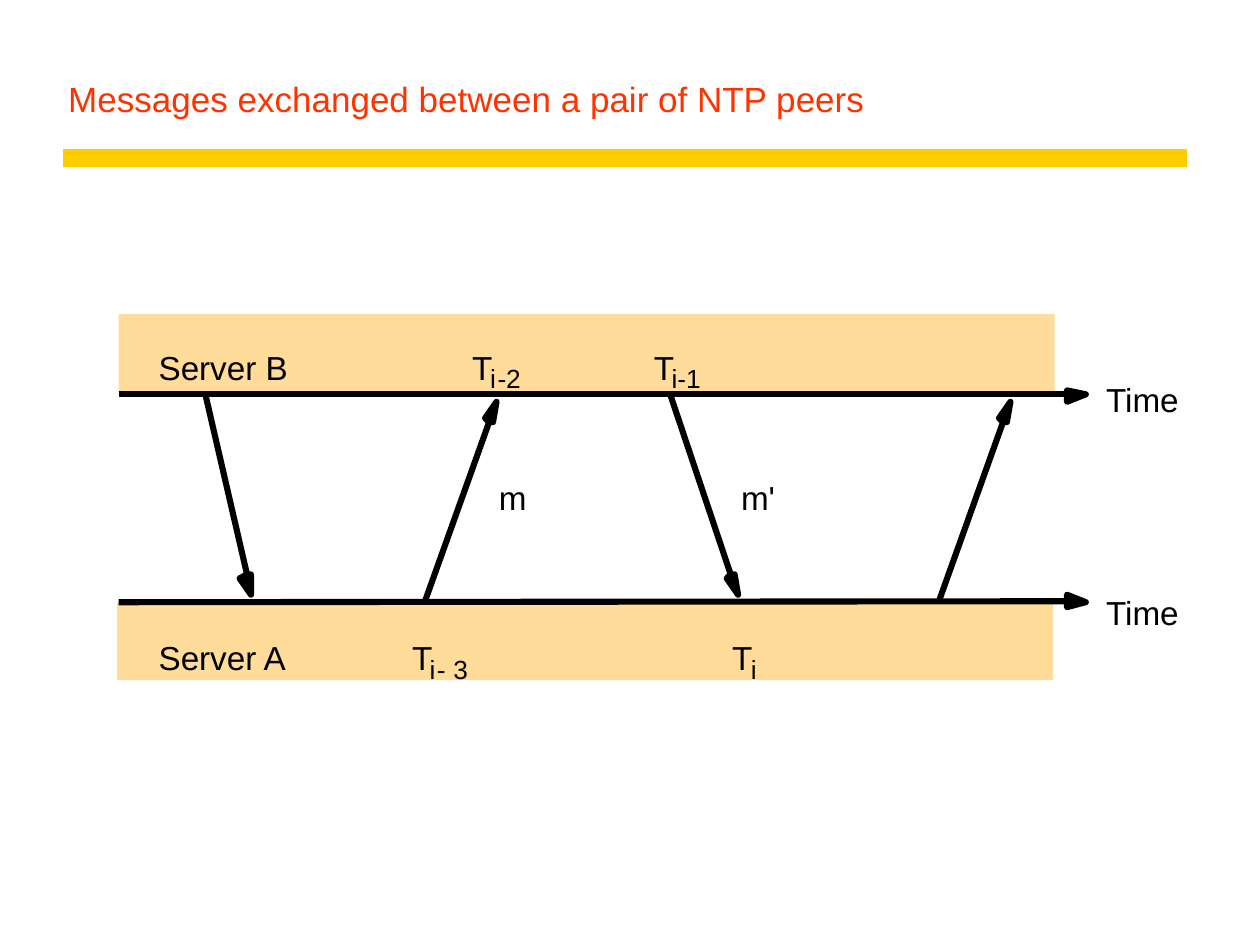
from dataclasses import dataclass
from pptx import Presentation
from pptx.dml.color import RGBColor as RGB
from pptx.enum.shapes import MSO_CONNECTOR as CONN, MSO_SHAPE as SHAPE
from pptx.enum.text import MSO_ANCHOR as ANCHOR, MSO_AUTO_SIZE as FIT, PP_ALIGN as ALIGN
from pptx.oxml.ns import qn
from pptx.util import Cm, Pt
from lxml.etree import SubElement


@dataclass(frozen=True)
class Theme:
    font: str = "Arial"
    ink: RGB = RGB(0, 0, 0)
    title: RGB = RGB(0xFF, 0x33, 0x00)
    rule: RGB = RGB(0xFF, 0xCC, 0x00)
    band: RGB = RGB(0xFF, 0xDC, 0x99)
    title_size: float = 20
    label_size: float = 19
    sub_size: float = 15
    stroke: float = 3.5
    rule_stroke: float = 10


THEME = Theme()

UP = [(0, 0), (-0.08, -0.08), (0.15, -0.41), (0.08, 0)]
DOWN = [(0, 0), (0.08, 0), (0.15, 0.41), (-0.08, 0.08)]
DOWN_STEEP = [(0, 0), (0.08, 0), (0.08, 0.41), (-0.15, 0.08)]
RIGHT_B = [(0, 0), (0, -0.08), (0.38, 0), (0, 0.15)]
RIGHT_A = [(-0.05, 0.02), (-0.05, -0.13), (0.33, 0.02), (-0.05, 0.12)]

B_AXIS, A_AXIS = 7.95, 12.14
UP_END, DOWN_END = 8.51, 11.58
MESSAGES = [
    (18.92, A_AXIS, 20.22, UP_END, UP),
    (13.51, B_AXIS, 14.73, DOWN_END, DOWN),
    (8.56, A_AXIS, 9.86, UP_END, UP),
    (4.14, B_AXIS, 4.98, DOWN_END, DOWN_STEEP),
]
BANDS = [(2.36, A_AXIS), (2.39, 6.33)]
TIME_AXES = [
    (2.39, B_AXIS, 21.51, B_AXIS, RIGHT_B),
    (2.39, A_AXIS, 21.56, 12.12, RIGHT_A),
]

B_ROW, A_ROW, M_ROW = 7, 12.85, 9.63
SUB_DROP = 0.31
TIMESTAMPS = [
    (14.76, A_ROW, [("i", 15.14, 0.15)]),
    (13.18, B_ROW, [("i-1", 13.54, 0.7)]),
    (9.52, B_ROW, [("i", 9.88, 0.15), ("-2", 10.03, 0.52)]),
    (8.31, A_ROW, [("i", 8.66, 0.15), ("-", 8.81, 0.2), ("3", 9.14, 0.32)]),
]
LABELS = [
    ("Server B", 3.2, B_ROW, 2.7),
    ("Server A", 3.2, A_ROW, 2.7),
    ("Time", 22.3, 7.65, 1.55),
    ("m", 10.06, M_ROW, 0.6),
    ("m'", 14.94, M_ROW, 0.72),
    ("Time", 22.3, 11.94, 1.55),
]


def style_text(p, size, color):
    for r in p.runs:
        r.font.name = THEME.font
        r.font.size = Pt(size)
        r.font.bold = False
        r.font.color.rgb = color


def add_title(slide, text):
    sp = slide.shapes.title
    sp.left, sp.top, sp.width, sp.height = Cm(1.12), Cm(0.64), Cm(22.78), Cm(1.9)
    tf = sp.text_frame
    tf.text = text
    tf.vertical_anchor = ANCHOR.BOTTOM
    p = tf.paragraphs[0]
    p.alignment = ALIGN.LEFT
    style_text(p, THEME.title_size, THEME.title)


def add_line(slide, x1, y1, x2, y2, color=THEME.ink, width=THEME.stroke):
    line = slide.shapes.add_connector(CONN.STRAIGHT, Cm(x1), Cm(y1), Cm(x2), Cm(y2))
    line.line.color.rgb = color
    line.line.width = Pt(width)
    SubElement(line._element.spPr, qn("a:effectLst"))


def add_head(slide, x, y, offsets):
    points = [(Cm(x + dx), Cm(y + dy)) for dx, dy in offsets]
    builder = slide.shapes.build_freeform(*points[0], scale=1.0)
    builder.add_line_segments(points[1:], close=True)
    sp = builder.convert_to_shape()
    sp.shadow.inherit = False
    sp.fill.solid()
    sp.fill.fore_color.rgb = THEME.ink
    sp.line.color.rgb = THEME.ink
    sp.line.width = Pt(THEME.stroke)
    SubElement(sp._element.spPr.find(qn("a:ln")), qn("a:round"))


def add_arrow(slide, x1, y1, x2, y2, head):
    add_head(slide, x2, y2, head)
    add_line(slide, x1, y1, x2, y2)


def add_band(slide, x, y):
    sp = slide.shapes.add_shape(SHAPE.RECTANGLE, Cm(x), Cm(y), Cm(18.87), Cm(1.57))
    sp.shadow.inherit = False
    sp.fill.solid()
    sp.fill.fore_color.rgb = THEME.band
    sp.line.fill.background()


def add_label(slide, text, x, y, width, size=THEME.label_size, height=0.81):
    tf = slide.shapes.add_textbox(Cm(x), Cm(y), Cm(width), Cm(height)).text_frame
    tf.margin_left = tf.margin_right = tf.margin_top = tf.margin_bottom = 0
    tf.word_wrap = False
    tf.auto_size = FIT.SHAPE_TO_FIT_TEXT
    tf.text = text
    p = tf.paragraphs[0]
    p.alignment = ALIGN.LEFT
    style_text(p, size, THEME.ink)


def add_timestamp(slide, x, y, subscripts):
    add_label(slide, "T", x, y, 0.43)
    for text, sub_x, width in subscripts:
        add_label(slide, text, sub_x, y + SUB_DROP, width, THEME.sub_size, 0.64)


def main():
    prs = Presentation()
    prs.slide_width, prs.slide_height = Cm(25.4), Cm(19.05)
    slide = prs.slides.add_slide(prs.slide_layouts[5])
    add_line(slide, 1.27, 3.18, 23.93, 3.18, THEME.rule, THEME.rule_stroke)
    add_title(slide, "Messages exchanged between a pair of NTP peers")
    for message in MESSAGES:
        add_arrow(slide, *message)
    for band in BANDS:
        add_band(slide, *band)
    for axis in TIME_AXES:
        add_arrow(slide, *axis)
    for timestamp in TIMESTAMPS:
        add_timestamp(slide, *timestamp)
    for label in LABELS:
        add_label(slide, *label)
    prs.save("out.pptx")


if __name__ == "__main__":
    main()
